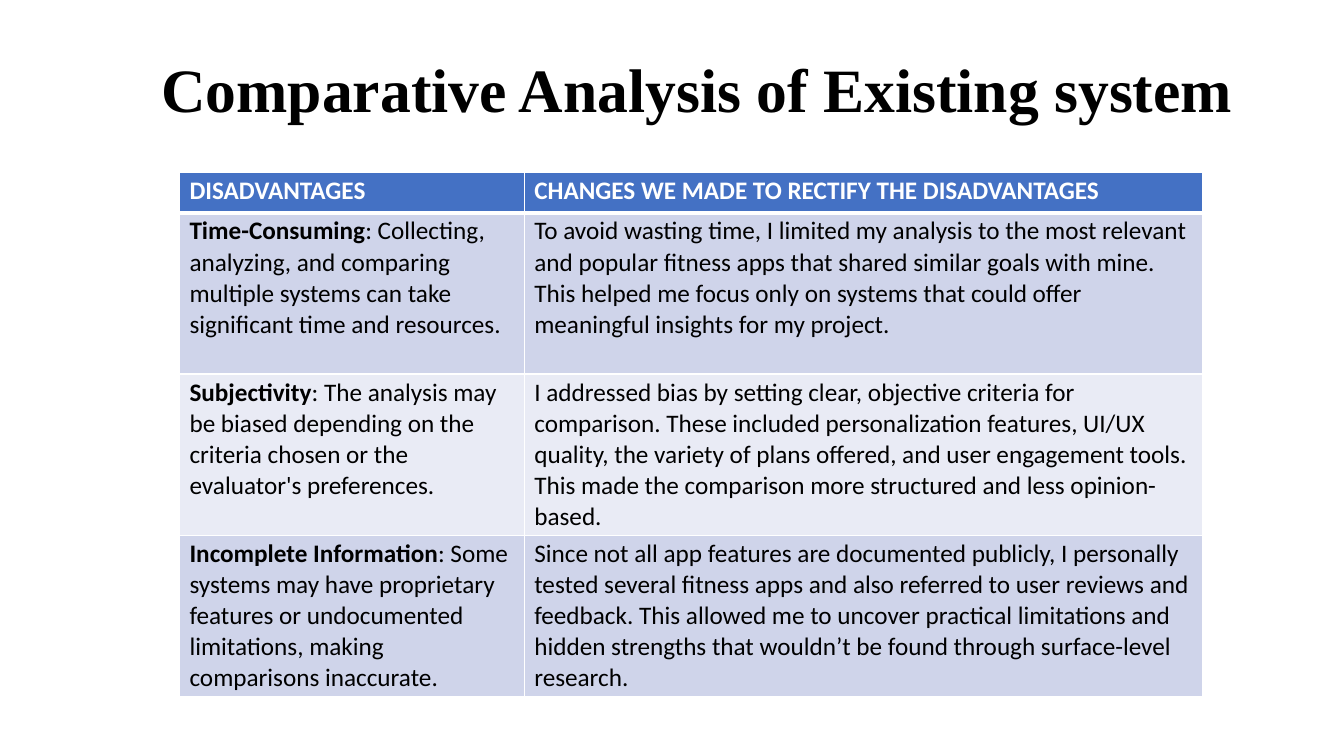
from lxml.etree import SubElement
from pptx import Presentation
from pptx.dml.color import RGBColor
from pptx.enum.text import MSO_ANCHOR, MSO_AUTO_SIZE, PP_ALIGN
from pptx.oxml.ns import qn
from pptx.util import Inches, Pt

TITLE = "Comparative Analysis of Existing system"
HEADERS = ["DISADVANTAGES", "CHANGES WE MADE TO RECTIFY THE DISADVANTAGES"]
ROWS = [
    (
        "Time-Consuming",
        ": Collecting, analyzing, and comparing multiple systems can take significant time and resources.",
        [
            "To avoid wasting time, I limited my analysis to the most relevant and popular fitness apps "
            "that shared similar goals with mine.",
            "This helped me focus only on systems that could offer\vmeaningful insights for my project.",
        ],
    ),
    (
        "Subjectivity",
        ": The analysis may be biased depending on the criteria chosen or the\vevaluator's preferences.",
        [
            "I addressed bias by setting clear, objective criteria for\vcomparison. These included "
            "personalization features, UI/UX quality, the variety of plans offered, and user engagement "
            "tools. This made the comparison more structured and less opinion-based.",
        ],
    ),
    (
        "Incomplete Information",
        ": Some systems may have proprietary features or undocumented limitations, making\v"
        "comparisons inaccurate.",
        [
            "Since not all app features are documented publicly, I personally tested several fitness apps "
            "and also referred to user reviews and feedback. This allowed me to uncover practical "
            "limitations and hidden strengths that wouldn’t be found through surface-level research.",
        ],
    ),
]

COLORS = {"header": "4471C4", "odd": "CFD4EA", "even": "E9EBF5", "white": "FFFFFF", "black": "000000"}
COLUMN_WIDTHS = [3.42, 6.73]
HEADER_HEIGHT, ROW_HEIGHT = 0.4, 1.6
TABLE_LEFT, TABLE_TOP = 1.78, 1.71
TITLE_BOX = {"left": 0.33, "top": 0.25, "width": 12.53, "height": 1}
TITLE_MARGINS = {"margin_left": 1.27, "margin_top": 0.26, "margin_right": 0, "margin_bottom": 0}
CELL_MARGINS = {"margin_left": 0.1, "margin_top": 0.03, "margin_right": 0.05, "margin_bottom": 0}
TITLE_FONT = {"name": "Times New Roman", "size": Pt(44), "bold": True}
CELL_FONT = {"name": "Calibri", "size": Pt(18)}


def set_values(target, values):
    for name, value in values.items():
        setattr(target, name, value)


def set_lengths(target, lengths):
    set_values(target, {name: Inches(value) for name, value in lengths.items()})


def format_font(font, values, color):
    set_values(font, values)
    font.color.rgb = RGBColor.from_string(COLORS[color])


def draw_borders(cell, top, bottom):
    properties = cell._tc.get_or_add_tcPr()
    for position, (side, width) in enumerate({"L": 1, "R": 1, "T": top, "B": bottom}.items()):
        line = SubElement(properties, qn(f"a:ln{side}"), w=str(Pt(width)))
        fill = SubElement(line, qn("a:solidFill"))
        SubElement(fill, qn("a:srgbClr"), val=COLORS["white"])
        properties.insert(position, line)


def fill_cell(cell, paragraphs, fill, color, line_spacing):
    set_lengths(cell, CELL_MARGINS)
    cell.vertical_anchor = MSO_ANCHOR.TOP
    cell.fill.solid()
    cell.fill.fore_color.rgb = RGBColor.from_string(COLORS[fill])
    frame = cell.text_frame
    for index, runs in enumerate(paragraphs):
        paragraph = frame.paragraphs[0] if index == 0 else frame.add_paragraph()
        paragraph.line_spacing = line_spacing
        paragraph.space_before = Pt(0 if index else 2.3)
        for text, bold in runs:
            for part_number, part in enumerate(text.split("\v")):
                if part_number:
                    paragraph.add_line_break()
                run = paragraph.add_run()
                run.text = part
                format_font(run.font, {**CELL_FONT, "bold": bold}, color)


def add_title(slide):
    title = slide.shapes.title
    set_lengths(title, TITLE_BOX)
    frame = title.text_frame
    set_lengths(frame, TITLE_MARGINS)
    set_values(frame, {"auto_size": MSO_AUTO_SIZE.NONE, "vertical_anchor": MSO_ANCHOR.TOP, "word_wrap": True})
    frame.text = TITLE
    paragraph = frame.paragraphs[0]
    set_values(paragraph, {"alignment": PP_ALIGN.LEFT, "space_before": Pt(1.3)})
    format_font(paragraph.runs[0].font, TITLE_FONT, "black")


def add_comparison(slide):
    heights = [HEADER_HEIGHT] + [ROW_HEIGHT] * len(ROWS)
    box = [TABLE_LEFT, TABLE_TOP, sum(COLUMN_WIDTHS), sum(heights)]
    table = slide.shapes.add_table(len(heights), len(HEADERS), *map(Inches, box)).table
    for column, width in zip(table.columns, COLUMN_WIDTHS):
        column.width = Inches(width)
    for row, height in zip(table.rows, heights):
        row.height = Inches(height)
    for column, text in enumerate(HEADERS):
        cell = table.cell(0, column)
        fill_cell(cell, [[(text, True)]], "header", "white", 1.0)
        draw_borders(cell, 1, 3)
    for number, (name, problem, changes) in enumerate(ROWS, 1):
        contents = [[[(name, True), (problem, False)]], [[(text, False)] for text in changes]]
        for column, paragraphs in enumerate(contents):
            cell = table.cell(number, column)
            fill_cell(cell, paragraphs, "odd" if number % 2 else "even", "black", 1.01)
            draw_borders(cell, 3 if number == 1 else 1, 1)


def main():
    presentation = Presentation()
    presentation.slide_width = Inches(13.33)
    presentation.slide_height = Inches(7.5)
    slide = presentation.slides.add_slide(presentation.slide_layouts[5])
    add_title(slide)
    add_comparison(slide)
    presentation.save("out.pptx")


if __name__ == "__main__":
    main()
